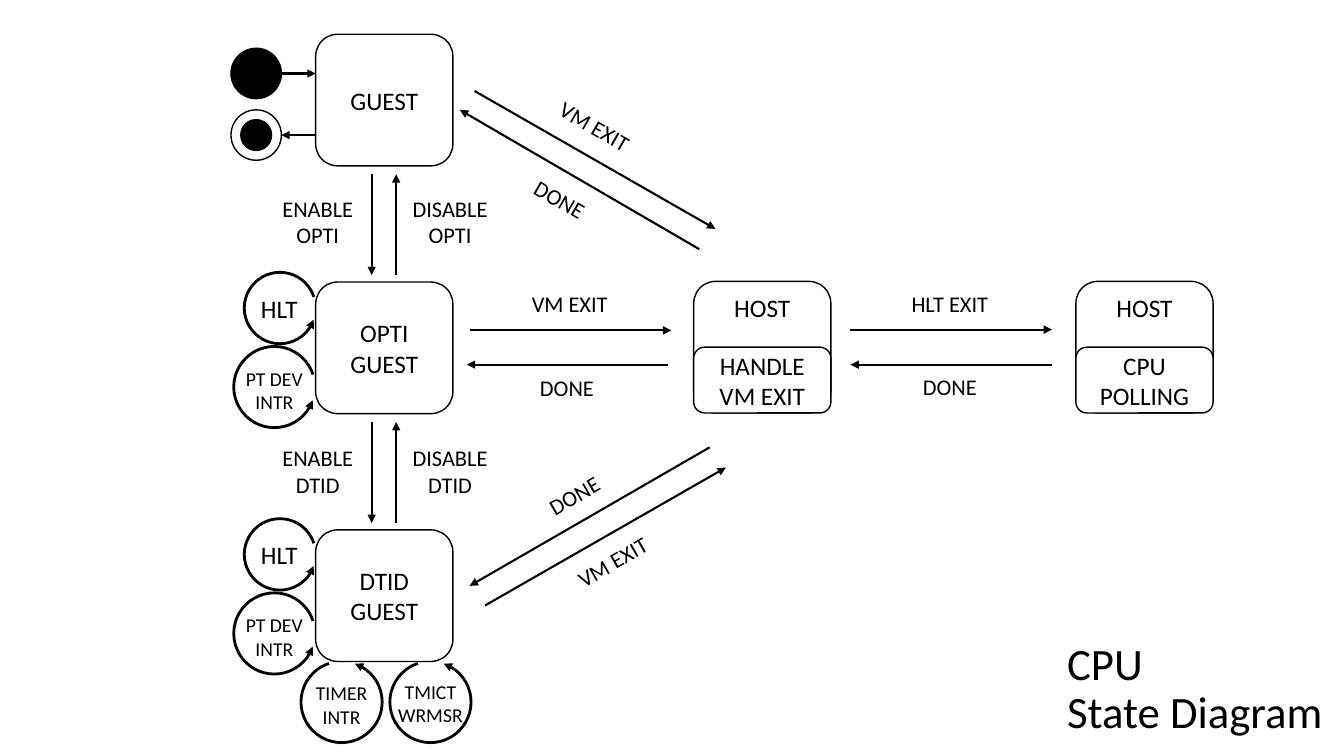
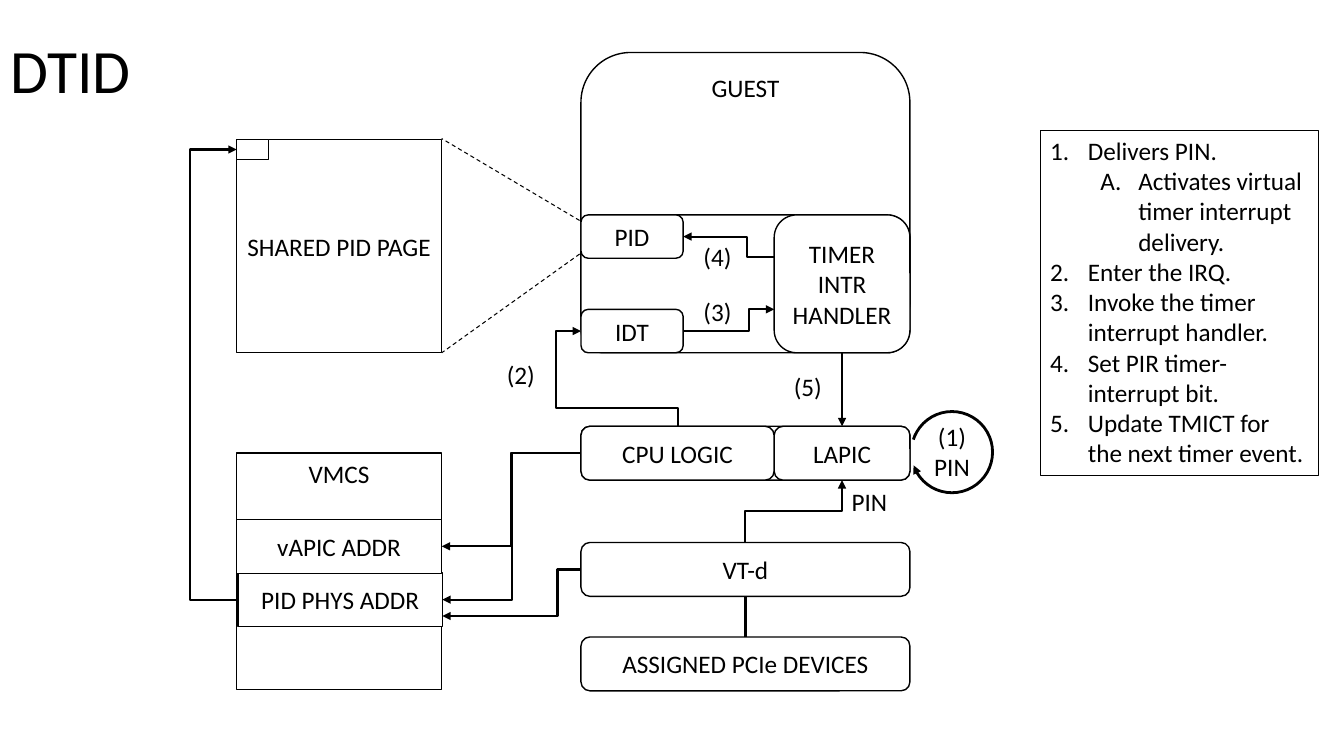
from collections import namedtuple
from dataclasses import dataclass

from lxml.etree import SubElement
from pptx import Presentation
from pptx.dml.color import RGBColor
from pptx.enum.dml import MSO_LINE_DASH_STYLE as Dash
from pptx.enum.shapes import MSO_CONNECTOR as Link, MSO_SHAPE as Preset
from pptx.enum.text import MSO_ANCHOR as Anchor, MSO_AUTO_SIZE as AutoSize, PP_ALIGN as Align
from pptx.oxml.ns import qn
from pptx.util import Pt

TOP, LEFT, BOTTOM, RIGHT = range(4)
EAST, WEST, NORTH = 0, 180, 270
Joint = namedtuple("Joint", "box side")


@dataclass(frozen=True)
class Theme:
    font: str = "Calibri"
    ink: RGBColor = RGBColor(0, 0, 0)
    paper: RGBColor = RGBColor(255, 255, 255)
    corner_title: int = 32
    title: int = 44
    body: int = 18
    label: int = 16
    small: int = 14
    outline: float = 1
    thin: float = 0.75
    arrow: float = 1.5
    loop: float = 2


def assign(target, values):
    for name, value in values.items():
        setattr(target, name, value)


class Diagram:
    def __init__(self, theme):
        self.theme = theme
        self.deck = Presentation()
        assign(self.deck, {"slide_width": Pt(960), "slide_height": Pt(540)})

    def new_page(self, title, left, top, width, height, size):
        self.page = self.deck.slides.add_slide(self.deck.slide_layouts[5])
        box = self.page.shapes.title
        assign(box, {"left": Pt(left), "top": Pt(top),
                     "width": Pt(width), "height": Pt(height)})
        self.put_text(box, title, size, Align.LEFT)
        box.text_frame.paragraphs[0].line_spacing = 0.9

    def put_text(self, box, text, size, align=Align.CENTER, anchor=Anchor.MIDDLE):
        frame = box.text_frame
        frame.text = text
        assign(frame, {"word_wrap": True, "auto_size": AutoSize.NONE,
                       "vertical_anchor": anchor})
        for para in frame.paragraphs:
            para.alignment = align
            for span in para.runs:
                assign(span.font, {"name": self.theme.font, "size": Pt(size)})
                span.font.color.rgb = self.theme.ink

    def outline(self, item, width):
        item.line.color.rgb = self.theme.ink
        item.line.width = Pt(width)

    def arrowhead(self, item, end="tailEnd"):
        SubElement(item.get_or_add_ln(), qn("a:" + end), type="triangle")

    def shape(self, preset, left, top, width, height, line, fill=None):
        box = self.page.shapes.add_shape(preset, Pt(left), Pt(top), Pt(width), Pt(height))
        box.shadow.inherit = False
        if fill is None:
            box.fill.background()
        else:
            box.fill.solid()
            box.fill.fore_color.rgb = fill
        self.outline(box, line)
        return box

    def box(self, text, left, top, width, height,
            preset=Preset.ROUNDED_RECTANGLE, anchor=Anchor.MIDDLE):
        box = self.shape(preset, left, top, width, height, self.theme.outline,
                         self.theme.paper)
        if text:
            self.put_text(box, text, self.theme.body, anchor=anchor)
        return box

    def circle(self, left, top, size, fill=None):
        self.shape(Preset.OVAL, left, top, size, size, self.theme.outline, fill)

    def loop(self, left, top, size, start=19, end=342, head="headEnd"):
        arc = self.shape(Preset.ARC, left, top, size, size, self.theme.loop)
        for index, angle in enumerate((start, end)):
            arc.adjustments[index] = angle * 0.6
        self.arrowhead(arc, head)

    def label(self, text, left, top, width, size, rotation=0):
        height = (text.count("\n") + 1) * size * 1.2 + 7.2
        box = self.page.shapes.add_textbox(Pt(left), Pt(top), Pt(width), Pt(height))
        self.put_text(box, text, size, anchor=Anchor.TOP)
        assign(box.text_frame, {"margin_left": 0, "margin_right": 0})
        box.rotation = rotation

    def connect(self, kind, start, end):
        link = self.page.shapes.add_connector(kind, 0, 0, 0, 0)
        for place, side, join in ((start, "begin", link.begin_connect),
                                  (end, "end", link.end_connect)):
            if isinstance(place, Joint):
                join(*place)
            else:
                assign(link, {side + "_x": Pt(place[0]), side + "_y": Pt(place[1])})
        return link

    def finish(self, link, width, head):
        self.outline(link, width)
        if head:
            self.arrowhead(link)
        SubElement(link._element.spPr, qn("a:effectLst"))

    def line(self, start, end, head=True):
        link = self.connect(Link.STRAIGHT, start, end)
        self.finish(link, self.theme.arrow, head)

    def dashed(self, start, end):
        link = self.connect(Link.STRAIGHT, start, end)
        link.line.dash_style = Dash.DASH
        self.finish(link, self.theme.thin, False)

    def elbow(self, start, end, heading, *bends):
        link = self.connect(Link.ELBOW, start, end)
        across, down = link.end_x - link.begin_x, link.end_y - link.begin_y
        center_x = (link.begin_x + link.end_x) // 2
        center_y = (link.begin_y + link.end_y) // 2
        width, height = abs(across), abs(down)
        if heading == NORTH:
            width, height = height, width
        side = {EAST: down, WEST: -down, NORTH: across}[heading]
        assign(link, {"left": center_x - width // 2, "top": center_y - height // 2,
                      "width": width, "height": height})
        frame = link._element.spPr.find(qn("a:xfrm"))
        for name, value in {"rot": heading * 60000, "flipH": 0,
                            "flipV": int(side < 0)}.items():
            frame.set(name, str(value))
        geometry = link._element.spPr.find(qn("a:prstGeom"))
        geometry.set("prst", f"bentConnector{len(bends) + 2}")
        guides = geometry.find(qn("a:avLst"))
        if guides is None:
            guides = SubElement(geometry, qn("a:avLst"))
        for index, bend in enumerate(bends, 1):
            SubElement(guides, qn("a:gd"), name=f"adj{index}",
                       fmla=f"val {round(bend * 100000)}")
        self.finish(link, self.theme.arrow, True)

    def numbered(self, items, left, top, width, height):
        box = self.shape(Preset.RECTANGLE, left, top, width, height, self.theme.thin)
        self.put_text(box, "\n".join(text for _, text in items), self.theme.body,
                      Align.LEFT, Anchor.TOP)
        for para, (level, _) in zip(box.text_frame.paragraphs, items):
            para.level = level
            settings = para._p.get_or_add_pPr()
            settings.set("marL", str(Pt(27 + 36 * level)))
            settings.set("indent", str(Pt(-27)))
            SubElement(settings, qn("a:buFont"), typeface="+mj-lt")
            SubElement(settings, qn("a:buAutoNum"),
                       type=("arabicPeriod", "alphaUcPeriod")[level])


def draw_states(diagram):
    theme = diagram.theme
    diagram.new_page("CPU\vState Diagram", 755, 446, 205, 94, theme.corner_title)

    for left, task in ((495.5, "HANDLE\nVM EXIT"), (768.5, "CPU\nPOLLING")):
        diagram.box("HOST", left, 201, 98, 94, anchor=Anchor.TOP)
        diagram.box(task, left, 248, 98, 47)
    for row, state in enumerate(("GUEST", "OPTI\nGUEST", "DTID\nGUEST")):
        diagram.box(state, 225.5, 24.5 + 177 * row, 98, 94)

    for start, end in (
        ((335.5, 236), (479.5, 236)), ((477.5, 260.5), (333.5, 260.5)),
        ((607.5, 235.5), (751.5, 235.5)), ((751.5, 260.5), (607.5, 260.5)),
        ((339, 65), (511, 163.5)), ((499.5, 178), (328.5, 78.5)),
        ((346.5, 432.5), (518.5, 334)), ((507, 319.5), (335.5, 418.5)),
        ((201, 52.5), (225.5, 52.5)), ((226, 96.5), (201, 96.5)),
    ):
        diagram.line(start, end)
    for text, left, top, rotation in (
        ("VM EXIT", 368.5, 204, 0), ("DONE", 366.5, 264, 0),
        ("HLT EXIT", 640, 204, 0), ("DONE", 640, 263, 0),
        ("VM EXIT", 386.5, 77, 30), ("DONE", 361.5, 129, 30),
        ("VM EXIT", 399, 388, -30), ("DONE", 371.5, 340.5, -30),
    ):
        diagram.label(text, left, top, 77, theme.label, rotation)

    for mode, top, label_top in (("OPTI", 124.5, 135.5), ("DTID", 301.5, 314)):
        diagram.line((265.5, top), (265.5, top + 72))
        diagram.line((283, top + 72), (283, top))
        diagram.label(f"ENABLE\n{mode}", 188.5, label_top, 77, theme.label)
        diagram.label(f"DISABLE\n{mode}", 283, label_top, 77, theme.label)

    for drop in (0, 176):
        diagram.loop(174.5, 194.5 + drop, 51)
        diagram.label("HLT", 179, 206 + drop, 41, theme.body)
        diagram.loop(167, 247.5 + drop, 58)
        diagram.label("PT DEV\nINTR", 168.5, 258.5 + drop, 55, theme.small)
    for text, left, top, width, loop_left in (
        ("TIMER\nINTR", 218, 483, 52, 215), ("TMICT\nWRMSR", 277, 482, 61, 278.5),
    ):
        diagram.loop(loop_left, 472.5, 58, 289, 252)
        diagram.label(text, left, top, width, theme.small)

    diagram.circle(165, 34.5, 36, theme.ink)
    diagram.circle(172, 85.5, 22, theme.ink)
    diagram.circle(165, 78.5, 36)


def draw_delivery(diagram):
    theme = diagram.theme
    diagram.new_page("DTID", 0, 0, 102, 104.5, theme.title)

    diagram.box("GUEST", 415, 37.5, 235, 213, anchor=Anchor.TOP)
    diagram.box("", 415, 153.5, 235, 98.5)
    diagram.box("", 415, 304.5, 235, 38.5)
    idt = diagram.box("IDT", 415, 221, 73, 31)
    handler = diagram.box("TIMER INTR HANDLER", 553, 153.5, 97, 98.5)
    pid = diagram.box("PID", 415, 153.5, 73, 31)
    lapic = diagram.box("LAPIC", 553, 304.5, 97, 38.5)
    logic = diagram.box("CPU LOGIC", 415, 304.5, 138, 38.5)
    remapper = diagram.box("VT-d", 415, 387.5, 235, 38.5)
    devices = diagram.box("ASSIGNED PCIe DEVICES", 415, 455, 235, 38.5)

    block = Preset.RECTANGLE
    diagram.box("SHARED PID PAGE", 169, 99.5, 146.5, 152.5, block)
    diagram.box("VMCS", 169, 323.5, 146.5, 169, block, Anchor.TOP)
    address = diagram.box("PID PHYS ADDR", 170, 409, 146, 38.5, block)
    entry = diagram.box("", 169, 99.5, 23, 14.5, block)
    vapic = diagram.box("vAPIC ADDR", 169, 371, 146.5, 38.5, block)

    diagram.elbow(Joint(address, LEFT), Joint(entry, LEFT), WEST, 34.6)
    diagram.elbow(Joint(idt, RIGHT), (553, 221), EAST, 0.72)
    diagram.elbow((553, 183.5), Joint(pid, RIGHT), WEST, 0.3)
    diagram.elbow(Joint(remapper, TOP), Joint(lapic, BOTTOM), NORTH, 0.5)
    diagram.elbow(Joint(logic, TOP), Joint(idt, LEFT), NORTH, 0.19, 1.26)
    diagram.elbow(Joint(logic, LEFT), Joint(vapic, RIGHT), WEST, 0.5)
    diagram.elbow(Joint(logic, LEFT), Joint(address, RIGHT), WEST, 0.5)
    diagram.elbow(Joint(remapper, LEFT), (316, 440), WEST, 0.17)
    diagram.line(Joint(handler, BOTTOM), Joint(lapic, TOP))
    diagram.line(Joint(devices, TOP), Joint(remapper, BOTTOM), head=False)
    diagram.dashed((414, 181.5), (315.5, 252))
    diagram.dashed((414, 157.5), (315.5, 99))

    diagram.loop(651, 294, 58, 198, 161, "tailEnd")
    for text, left, top in (
        ("(1)\nPIN", 660, 297.5), ("PIN", 601, 344), ("(2)", 352, 253),
        ("(3)", 492.5, 208), ("(4)", 492.5, 169), ("(5)", 557, 261.5),
    ):
        diagram.label(text, left, top, 40, theme.body)
    diagram.numbered((
        (0, "Delivers PIN."),
        (1, "Activates virtual timer interrupt delivery."),
        (0, "Enter the IRQ."),
        (0, "Invoke the timer interrupt handler."),
        (0, "Set PIR timer-interrupt bit."),
        (0, "Update TMICT for the next timer event."),
    ), 743, 93, 199, 247)


def main():
    diagram = Diagram(Theme())
    draw_states(diagram)
    draw_delivery(diagram)
    diagram.deck.save("out.pptx")


if __name__ == "__main__":
    main()
